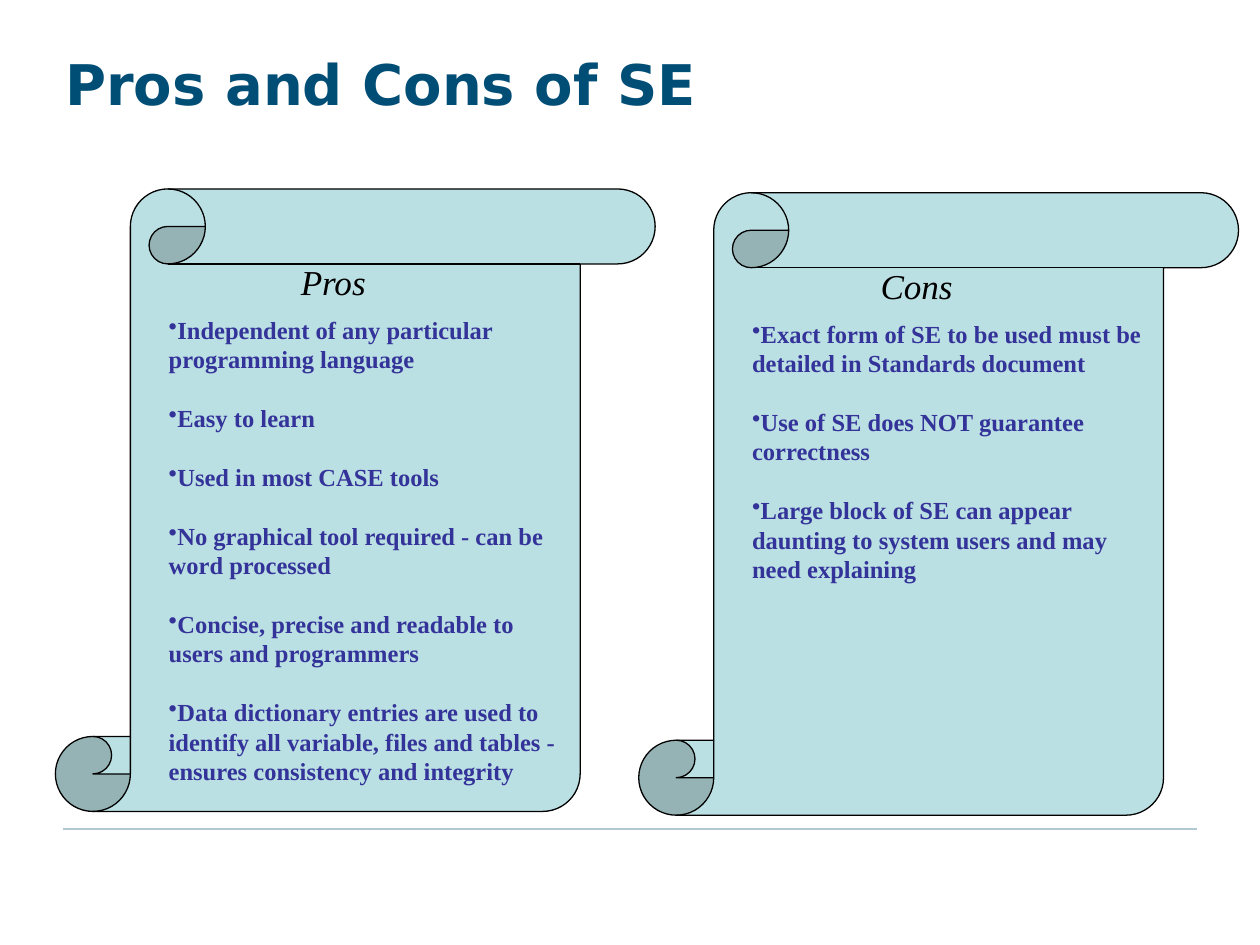
import pptx
import pptx.dml.color
import pptx.enum.shapes
import pptx.enum.text
import pptx.oxml.ns
import pptx.util
from lxml import etree
from pptx.util import Inches

SCROLLS = [
    (0.44, 1.5, "Pros", [
        "Independent of any particular programming language",
        "Easy to learn",
        "Used in most CASE tools",
        "No graphical tool required - can be word processed",
        "Concise, precise and readable to users and programmers",
        "Data dictionary entries are used to identify all variable, files and tables"
        " - ensures consistency and integrity",
    ]),
    (5.07, 1.53, "Cons", [
        "Exact form of SE to be used must be detailed in Standards document",
        "Use of SE does NOT guarantee correctness",
        "Large block of SE can appear daunting to system users and may need explaining",
    ]),
]


def color(value):
    """Turn a hex string into a colour."""
    return pptx.dml.color.RGBColor.from_string(value)


def add_bullet(para):
    """Give a paragraph a round bullet without indent."""
    properties = para._p.get_or_add_pPr()
    properties.set("marL", "0")
    properties.set("indent", "0")
    bullet = etree.SubElement(properties, pptx.oxml.ns.qn("a:buChar"))
    bullet.set("char", "•")


def add_text(page, left, top, width, height, lines, size, hue, font="Times New Roman",
             bold=False, italic=False, align="LEFT", anchor="TOP", bullets=False, pitch=None):
    """Add a text box with one paragraph per line."""
    box = page.shapes.add_textbox(Inches(left), Inches(top), Inches(width), Inches(height))
    frame = box.text_frame
    frame.word_wrap = True
    frame.vertical_anchor = pptx.enum.text.MSO_ANCHOR[anchor]
    for number, line in enumerate(lines):
        para = frame.add_paragraph() if number else frame.paragraphs[0]
        if bullets:
            add_bullet(para)
        para.alignment = pptx.enum.text.PP_ALIGN[align]
        if pitch:
            para.line_spacing = pptx.util.Pt(pitch)
            if number:
                para.space_before = pptx.util.Pt(pitch)
        span = para.add_run()
        span.text = line
        span.font.name = font
        span.font.size = pptx.util.Pt(size)
        span.font.bold = bold
        span.font.italic = italic
        span.font.color.rgb = color(hue)
    return box


def add_rule(page, left, right, top):
    """Add the thin horizontal rule at the foot of the page."""
    rule = page.shapes.add_connector(pptx.enum.shapes.MSO_CONNECTOR.STRAIGHT,
                                     Inches(left), Inches(top), Inches(right), Inches(top))
    rule.line.color.rgb = color("B2C9D5")
    rule.line.width = pptx.util.Pt(1.25)
    etree.SubElement(rule._element.spPr, pptx.oxml.ns.qn("a:effectLst"))


def add_scroll(page, left, top, heading, points):
    """Add a scroll with its heading and bulleted points."""
    scroll = page.shapes.add_shape(pptx.enum.shapes.MSO_SHAPE.VERTICAL_SCROLL,
                                   Inches(left), Inches(top), Inches(4.76), Inches(4.94))
    scroll.adjustments[0] = 0.125
    scroll.shadow.inherit = False
    scroll.fill.solid()
    scroll.fill.fore_color.rgb = color("BBE0E3")
    scroll.line.color.rgb = color("000000")
    scroll.line.width = pptx.util.Pt(0.75)
    title = add_text(page, left + 0.86, top + 0.52, 2.69, 0.43, [heading], 20, "000000",
                     italic=True, align="CENTER")
    title.rotation = 0.3
    add_text(page, left + 0.8, top + 0.95, 3.41, 3.91, points, 14, "333399",
             bold=True, bullets=True, pitch=16.8)


def main():
    """Build the slide and save it."""
    deck = pptx.Presentation()
    deck.slide_width, deck.slide_height = Inches(10), Inches(7.5)
    page = deck.slides.add_slide(deck.slide_layouts[6])
    add_rule(page, 0.5, 9.5, 6.58)
    add_text(page, 0.42, 0.33, 9.08, 0.66, ["Pros and Cons of SE"], 32, "004D75",
             font="DejaVu Sans", bold=True, anchor="MIDDLE")
    for left, top, heading, points in SCROLLS:
        add_scroll(page, left, top, heading, points)
    deck.save("out.pptx")


if __name__ == "__main__":
    main()
